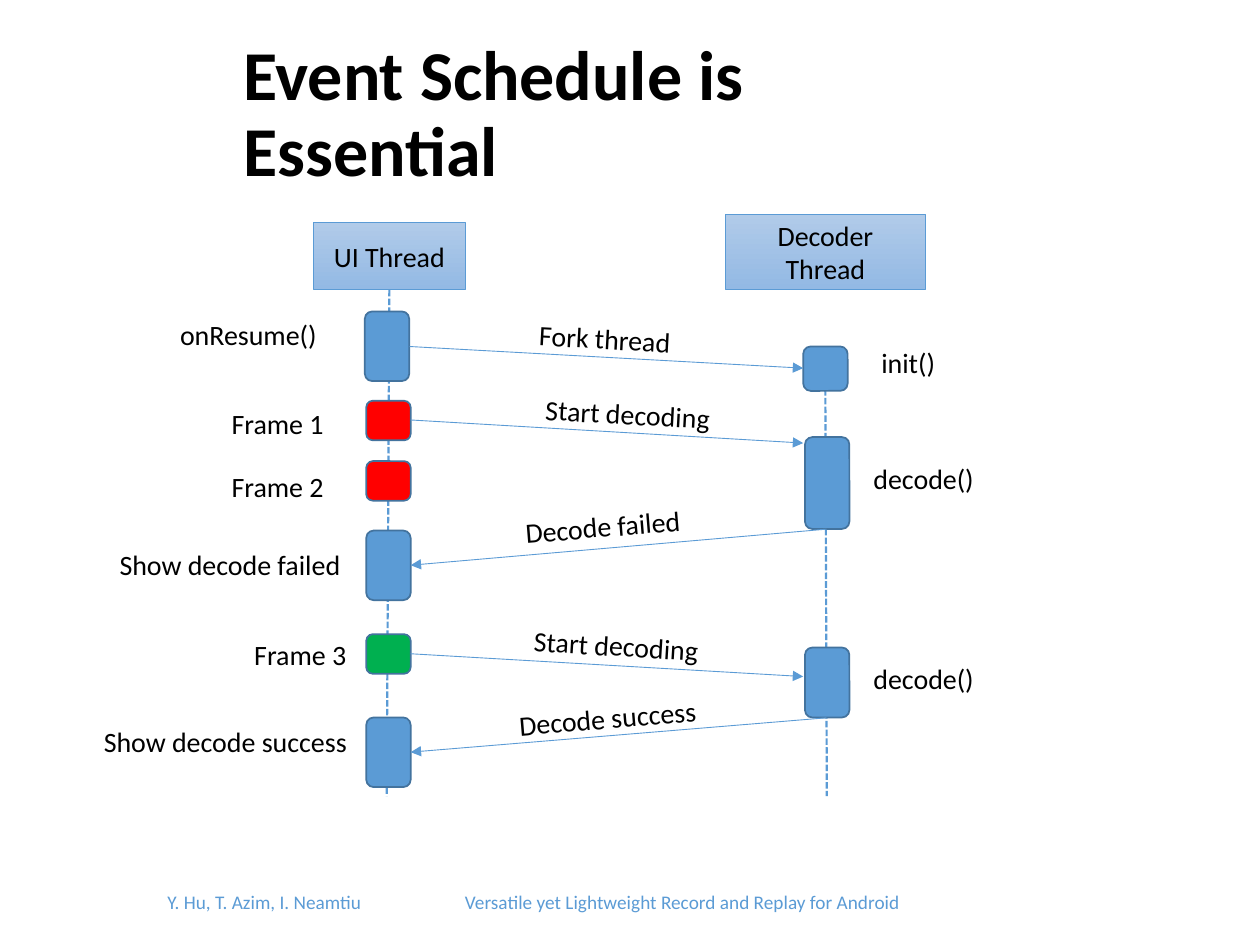
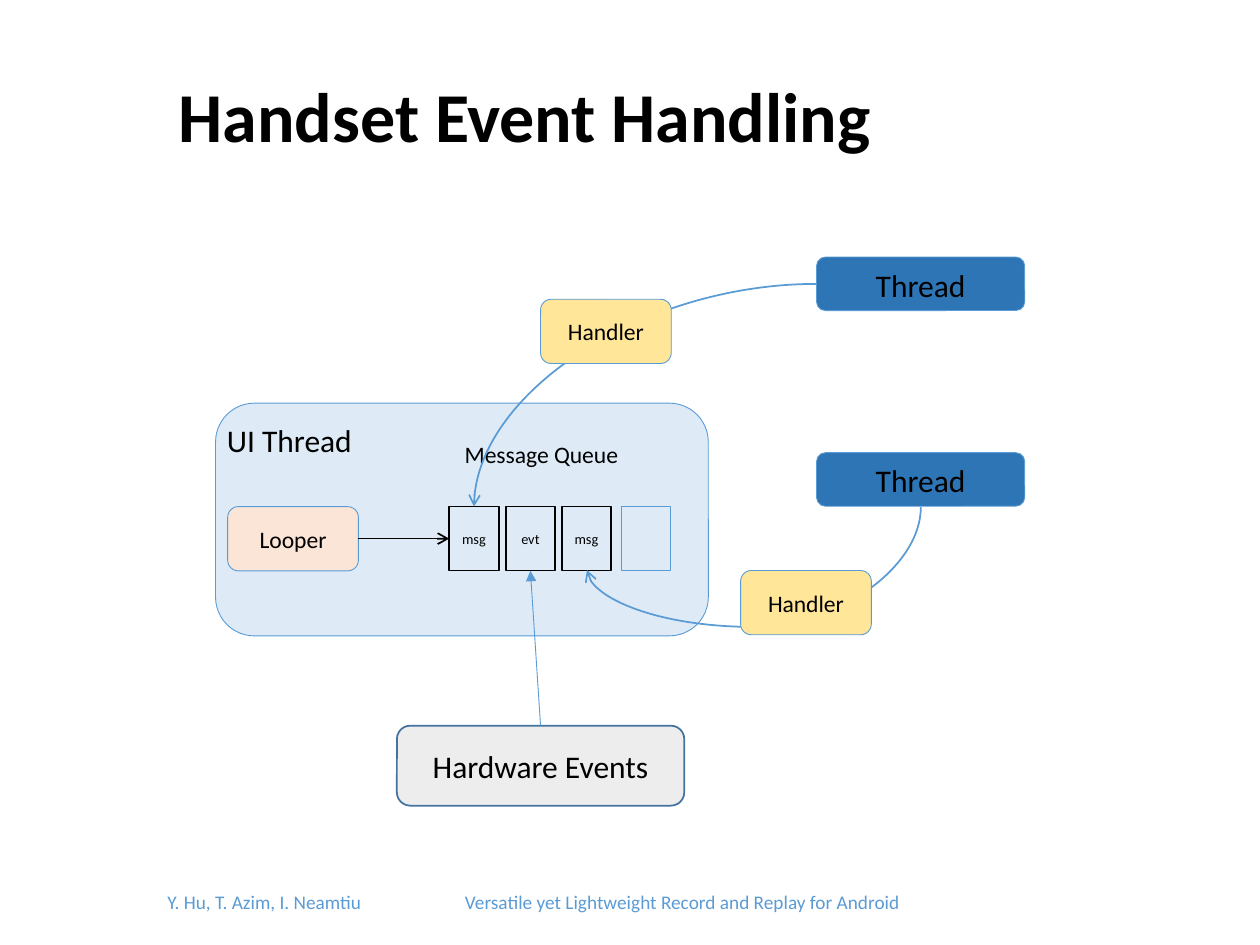
from lxml.etree import SubElement
from pptx import Presentation
from pptx.dml.color import RGBColor
from pptx.enum.dml import MSO_LINE as Dash
from pptx.enum.shapes import MSO_CONNECTOR as Link, MSO_SHAPE as Preset
from pptx.enum.text import MSO_ANCHOR as Anchor, MSO_AUTO_SIZE as Fit, PP_ALIGN as Align
from pptx.oxml.ns import qn
from pptx.util import Pt


class Theme:
    font = "Calibri"
    ink = "000000"
    blue = "5B9BD5"
    edge = "43739E"
    deep_blue = "2E75B6"
    pale_blue = "DEEBF7"
    header = ("B1CBE9", "93B9E4")
    red = "FF0000"
    green = "00B050"
    peach = "FBE5D6"
    yellow = "FFE699"
    grey = "EDEDED"
    title_size = 40
    footer_size = 11
    label_size = 16
    large_size = 18
    medium_size = 13.5
    small_size = 8.2
    thin = 0.5
    medium = 1
    lifeline = 1.25


def add_box(page, preset, at, text="", fill=None, line=None, width=Theme.thin, size=Theme.label_size,
            color=Theme.ink, anchor=Anchor.MIDDLE, align=Align.CENTER, side_inset=7.2, turn=0):
    lengths = [Pt(value) for value in at]
    if preset is None:
        box = page.shapes.add_textbox(*lengths)
        anchor, align = Anchor.TOP, Align.LEFT
    else:
        box = page.shapes.add_shape(preset, *lengths)
        box.shadow.inherit = False
        if isinstance(fill, tuple):
            box.fill.gradient()
            box.fill.gradient_angle = 270
            for stop, shade in zip(box.fill.gradient_stops, fill):
                stop.color.rgb = RGBColor.from_string(shade)
        else:
            box.fill.solid()
            box.fill.fore_color.rgb = RGBColor.from_string(fill)
        if line:
            box.line.color.rgb = RGBColor.from_string(line)
            box.line.width = Pt(width)
        else:
            box.line.fill.background()
    box.rotation = turn
    if text:
        frame_format = {"word_wrap": True, "vertical_anchor": anchor,
                        "margin_left": Pt(side_inset), "margin_right": Pt(side_inset)}
        for name, value in frame_format.items():
            setattr(box.text_frame, name, value)
        para = box.text_frame.paragraphs[0]
        para.alignment = align
        span = para.add_run()
        span.text = text
        for name, value in {"name": Theme.font, "size": Pt(size)}.items():
            setattr(span.font, name, value)
        span.font.color.rgb = RGBColor.from_string(color)
    return box


def add_line(page, begin, end, color=Theme.blue, width=Theme.thin, head=None, dash=None, kind=Link.STRAIGHT):
    link = page.shapes.add_connector(kind, *[Pt(value) for value in (*begin, *end)])
    link.line.color.rgb = RGBColor.from_string(color)
    link.line.width = Pt(width)
    if dash:
        link.line.dash_style = dash
    properties = link._element.spPr
    if head:
        SubElement(properties.find(qn("a:ln")), qn("a:tailEnd"), type=head)
    SubElement(properties, qn("a:effectLst"))
    return link


deck = Presentation()
deck.slide_width, deck.slide_height = Pt(720), Pt(540)

pages = []
for heading, at in [("Event Schedule is Essential", (131.8, 49.7, 445, 33)),
                    ("Handset Event Handling", (95, 28, 520.6, 81.4))]:
    page = deck.slides.add_slide(deck.slide_layouts[5])
    pages.append(page)
    title = page.shapes.title
    title.left, title.top, title.width, title.height = [Pt(value) for value in at]
    title.text = heading
    title.text_frame.auto_size = Fit.NONE
    title.text_frame.vertical_anchor = Anchor.MIDDLE
    para = title.text_frame.paragraphs[0]
    para.alignment = Align.LEFT
    para.line_spacing = 0.9
    title_format = {"name": Theme.font, "size": Pt(Theme.title_size), "bold": True}
    for name, value in title_format.items():
        setattr(para.font, name, value)
    para.font.color.rgb = RGBColor.from_string(Theme.ink)

    footer = add_box(page, None, (88.6, 505.4, 567, 29.5),
                     "Y. Hu, T. Azim, I. Neamtiu\tVersatile yet Lightweight Record and Replay for Android",
                     size=Theme.footer_size, color=Theme.blue)
    tabs = SubElement(footer.text_frame.paragraphs[0]._p.get_or_add_pPr(), qn("a:tabLst"))
    SubElement(tabs, qn("a:tab"), pos=str(Pt(170)), algn="l")

schedule, handling = pages

for name, at in [("UI Thread", (179, 127.2, 87, 38.2)), ("Decoder Thread", (414.4, 122.4, 114.6, 43))]:
    add_box(schedule, Preset.RECTANGLE, at, name, Theme.header, Theme.blue)

for begin, end in [((222.5, 165.6), (221, 455)), ((471.6, 217.4), (472.5, 455))]:
    add_line(schedule, begin, end, width=Theme.lifeline, dash=Dash.SQUARE_DOT)

step_width = 25.4
ui_left, decoder_left = 209.3, 460
steps = [
    (ui_left - 0.8, 178, 39.8, Theme.blue),
    (ui_left, 229, 22.6, Theme.red),
    (ui_left, 263.5, 22.6, Theme.red),
    (ui_left, 303.2, 39.8, Theme.blue),
    (ui_left, 362.4, 22.6, Theme.green),
    (ui_left, 410, 39.8, Theme.blue),
    (decoder_left - 1, 198, 25.4, Theme.blue),
    (decoder_left, 249.8, 52.5, Theme.blue),
    (decoder_left, 370, 40, Theme.blue),
]
for left, top, height, fill in steps:
    add_box(schedule, Preset.ROUNDED_RECTANGLE, (left, top, step_width, height),
            fill=fill, line=Theme.edge, width=Theme.medium)

step_labels = [
    ("onResume()", 95.8, 178, 104),
    ("Frame 1", 125.3, 229, 77),
    ("Frame 2", 125.3, 265, 77),
    ("Show decode failed", 61.2, 309.6, 146),
    ("Frame 3", 138.2, 361, 70),
    ("Show decode success", 52.2, 410.6, 156),
    ("init()", 496.5, 193.7, 109),
    ("decode()", 492, 260, 118),
    ("decode()", 492, 374.6, 118),
]
for text, left, top, width in step_labels:
    add_box(schedule, None, (left, top, width, 26.6), text)

messages = [
    ("Fork thread", (234, 198), (459, 210.4), (301, 180.7, 109.4), 3.1),
    ("Start decoding", (234.7, 240), (459, 253.2), (304.6, 223.2, 109.4), 3.1),
    ("Decode failed", (472.3, 302.4), (234.7, 323), (293, 287.3, 109.4), 355.4),
    ("Start decoding", (234.7, 373.6), (459, 386.6), (298, 355.7, 109.4), 3.6),
    ("Decode success", (472.3, 410.2), (234.7, 429.8), (289.4, 396.7, 123), 355.2),
]
for text, begin, end, (left, top, width), turn in messages:
    add_line(schedule, begin, end, head="triangle")
    add_box(schedule, None, (left, top, width, 26.6), text, turn=turn)

top_left = {"anchor": Anchor.TOP, "align": Align.LEFT}
rounded = Preset.ROUNDED_RECTANGLE
add_box(handling, rounded, (123.2, 230.4, 281.6, 133), "UI Thread", Theme.pale_blue, Theme.blue,
        size=Theme.large_size, side_inset=0, **top_left)
add_box(handling, rounded, (130.1, 289.5, 74.7, 36.7), "Looper", Theme.peach, Theme.blue,
        size=Theme.medium_size)

for left, text in [(256.7, "msg"), (289, "evt"), (321, "msg"), (355, "")]:
    edge, width = (Theme.ink, Theme.medium) if text else (Theme.blue, Theme.thin)
    add_box(handling, Preset.RECTANGLE, (left, 289.4, 28.3, 36.7), text, Theme.pale_blue, edge, width,
            size=Theme.small_size)

add_line(handling, (204.8, 307.8), (256.7, 307.8), Theme.ink, Theme.medium, "arrow")
add_box(handling, Preset.RECTANGLE, (258.5, 247.7, 117.4, 23.8), "Message Queue", Theme.pale_blue,
        size=Theme.medium_size, **top_left)

for top in (146.9, 258.7):
    add_box(handling, rounded, (466.6, top, 119, 30.6), "Thread", Theme.deep_blue, Theme.blue,
            size=Theme.large_size, anchor=Anchor.TOP, side_inset=0)

curves = [
    ((270.8, 289.4), (466.6, 162.2), "curvedConnector2", 180, None),
    ((412.8, 212.4), (448.8, 403.2), "curvedConnector3", 90, 190200),
]
for begin, end, preset, turn, bend in curves:
    curve = add_line(handling, begin, end, width=Theme.medium, head="arrow", kind=Link.CURVE)
    properties = curve._element.spPr
    properties.find(qn("a:xfrm")).set("rot", str(turn * 60000))
    geometry = properties.find(qn("a:prstGeom"))
    geometry.set("prst", preset)
    if bend:
        SubElement(geometry.find(qn("a:avLst")), qn("a:gd"), name="adj1", fmla=f"val {bend}")

for left, top in [(308.9, 171), (423.2, 326)]:
    add_box(handling, rounded, (left, top, 74.7, 36.7), "Handler", Theme.yellow, Theme.blue,
            size=Theme.medium_size)

add_box(handling, rounded, (226.8, 414.7, 164.2, 45.7), "Hardware Events", Theme.grey, Theme.edge,
        Theme.medium, size=Theme.large_size)
add_line(handling, (308.9, 414.7), (303.1, 326.2), head="triangle")

deck.save("out.pptx")
